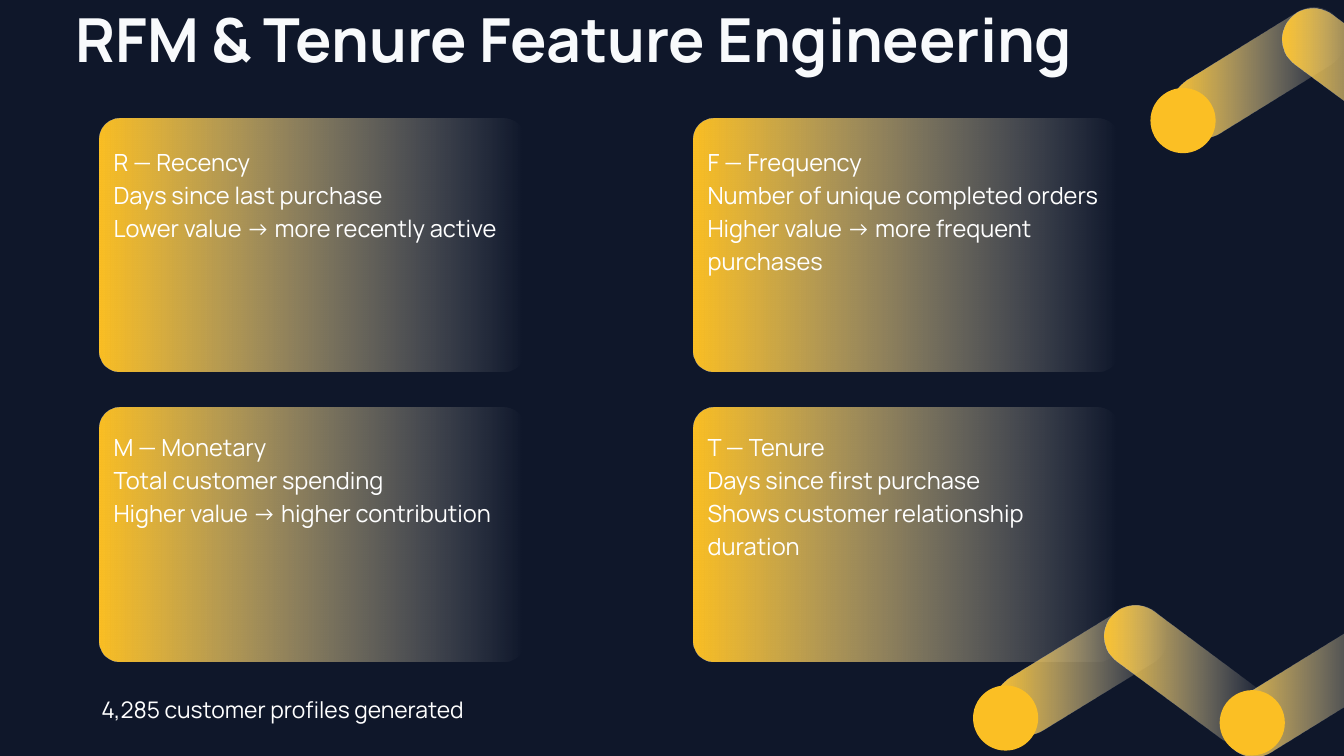
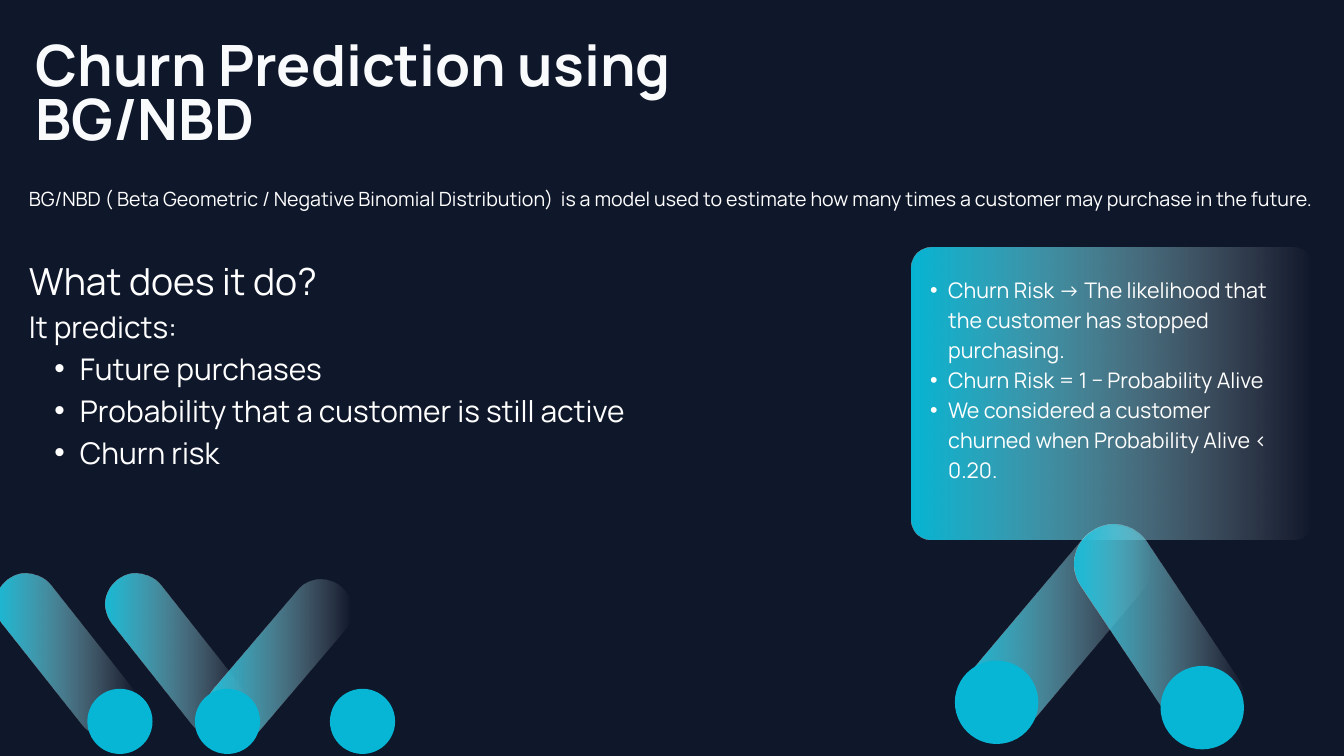
"""Build two slides on customer features and churn prediction."""
from typing import NamedTuple

from lxml import etree
from pptx import Presentation
from pptx.dml.color import RGBColor
from pptx.enum.shapes import MSO_SHAPE
from pptx.enum.text import MSO_ANCHOR, MSO_AUTO_SIZE
from pptx.oxml.ns import qn
from pptx.util import Inches, Pt

NAVY = RGBColor(0x0F, 0x17, 0x2A)
AMBER = RGBColor(0xFB, 0xBF, 0x24)
CYAN = RGBColor(0x06, 0xB6, 0xD4)
SNOW = RGBColor(0xF8, 0xFA, 0xFC)
WHITE = RGBColor(0xFF, 0xFF, 0xFF)

ROUNDED, OVAL = MSO_SHAPE.ROUNDED_RECTANGLE, MSO_SHAPE.OVAL
TOP, GROW = MSO_ANCHOR.TOP, MSO_AUTO_SIZE.SHAPE_TO_FIT_TEXT

FONT = "Manrope"
WIDTH, HEIGHT = Inches(20), Inches(11.25)
COLS, ROWS = 20, 11.25
PILL_W, PILL_H, DOT = 2.84, 0.92, 0.97
LARGE = 1.28

FRAME = {"word_wrap": True, "auto_size": GROW, "vertical_anchor": TOP,
         "margin_left": 0, "margin_right": 0, "margin_top": 0, "margin_bottom": 0}


class Box(NamedTuple):
    x: float
    y: float
    w: float
    h: float


class Style(NamedTuple):
    size: float
    spacing: float
    color: RGBColor = WHITE
    bold: bool = False
    indent: float = 0


class Line(NamedTuple):
    text: str
    style: Style


class Pill(NamedTuple):
    x: float
    y: float
    angle: float
    scale: float = 1


class Dot(NamedTuple):
    x: float
    y: float
    scale: float = 1


FEATURE_TITLE = Style(65, 62.4, SNOW, True)
CHURN_TITLE = Style(61, 58.6, SNOW, True)
FEATURE = Style(25.3, 35.4)
TOTAL = Style(24.5, 34.3)
INTRO = Style(21, 29.4)
QUESTION = Style(40, 56)
LEAD = Style(32, 44.8)
OUTCOME = LEAD._replace(indent=0.38)
RISK = Style(23, 32.2, indent=0.27)

CARD_XS, CARD_YS = (1.48, 10.32), (1.76, 6.07)
CARD_W, CARD_H = 6.32, 3.77
TEXT_DX, TEXT_YS = 0.21, (2.13, 6.37)
FEATURES = (
    (("R — Recency", "Days since last purchase",
      "Lower value → more recently active"),
     ("F — Frequency", "Number of unique completed orders",
      "Higher value → more frequent purchases")),
    (("M — Monetary", "Total customer spending",
      "Higher value → higher contribution"),
     ("T — Tenure", "Days since first purchase",
      "Shows customer relationship duration")),
)
AMBER_PILLS = (Pill(14.67, 9.51, 148.5), Pill(18.06, 9.83, 148.5), Pill(16.25, 9.58, 36.7),
               Pill(17.31, 0.62, 148.5), Pill(18.9, 0.7, 36.7))
AMBER_DOTS = (Dot(14.48, 10.2), Dot(18.15, 10.27), Dot(17.12, 1.31))

CYAN_PILLS = (Pill(-0.43, 9.29, 51.7), Pill(1.21, 9.29, 51.7), Pill(2.73, 9.36, 130.4),
              Pill(13.94, 8.76, 130.2, LARGE), Pill(15.44, 8.83, 56.3, LARGE))
CYAN_DOTS = (Dot(1.3, 10.25), Dot(4.91, 10.25), Dot(2.9, 10.25),
             Dot(17.27, 9.91, LARGE), Dot(14.21, 9.83, LARGE))
OUTCOMES = ("Future purchases", "Probability that a customer is still active", "Churn risk")
RISKS = ("Churn Risk → The likelihood that the customer has stopped purchasing.",
         "Churn Risk = 1 − Probability Alive",
         "We considered a customer churned when Probability Alive < 0.20.")


def place(box: Box) -> tuple:
    return (int(WIDTH * box.x / COLS), int(HEIGHT * box.y / ROWS),
            int(WIDTH * box.w / COLS), int(HEIGHT * box.h / ROWS))


def add_shape(shapes, kind, box: Box):
    sp = shapes.add_shape(kind, *place(box))
    sp.shadow.inherit = False
    sp.line.fill.background()
    return sp


def fade(sp, color: RGBColor) -> None:
    sp.fill.gradient()
    sp.fill.gradient_angle = 0
    for stop, rgb in zip(sp.fill.gradient_stops, (color, SNOW)):
        stop.color.rgb = rgb
    last = sp._element.spPr.findall(".//" + qn("a:gs"))[-1]
    etree.SubElement(last[0], qn("a:alpha"), val="0")


def add_card(slide, box: Box, radius: float, color: RGBColor) -> None:
    sp = add_shape(slide.shapes, ROUNDED, box)
    sp.adjustments[0] = radius / box.h
    fade(sp, color)


def add_pill(slide, pill: Pill, color: RGBColor) -> None:
    group = slide.shapes.add_group_shape()
    sp = add_shape(group.shapes, ROUNDED,
                   Box(pill.x, pill.y, PILL_W * pill.scale, PILL_H * pill.scale))
    sp.adjustments[0] = 0.5
    fade(sp, color)
    group.rotation = pill.angle


def add_dot(slide, dot: Dot, color: RGBColor) -> None:
    side = DOT * dot.scale
    sp = add_shape(slide.shapes, OVAL, Box(dot.x, dot.y, side, side))
    sp.fill.solid()
    sp.fill.fore_color.rgb = color


def add_decor(slide, pills: tuple, dots: tuple, color: RGBColor) -> None:
    for pill in pills:
        add_pill(slide, pill, color)
    for dot in dots:
        add_dot(slide, dot, color)


def add_bullet(p, indent: float) -> None:
    p.level = 1
    pPr = p._p.get_or_add_pPr()
    pPr.set("marL", str(Inches(2 * indent)))
    pPr.set("indent", str(-Inches(indent)))
    etree.SubElement(pPr, qn("a:buFont"), typeface="Arial")
    etree.SubElement(pPr, qn("a:buChar"), char="•")


def add_text(slide, box: Box, lines: list) -> None:
    tf = slide.shapes.add_textbox(*place(box)).text_frame
    for name, value in FRAME.items():
        setattr(tf, name, value)
    for i, (text, style) in enumerate(lines):
        p = tf.add_paragraph() if i else tf.paragraphs[0]
        if style.indent:
            add_bullet(p, style.indent)
        p.line_spacing = Pt(style.spacing)
        r = p.add_run()
        r.text = text
        font = {"name": FONT, "size": Pt(style.size), "bold": style.bold}
        for name, value in font.items():
            setattr(r.font, name, value)
        r.font.color.rgb = style.color


def styled(texts: tuple, style: Style) -> list:
    return [Line(text, style) for text in texts]


def add_slide(prs):
    slide = prs.slides.add_slide(prs.slide_layouts[6])
    slide.background.fill.solid()
    slide.background.fill.fore_color.rgb = NAVY
    return slide


def build_features(prs) -> None:
    slide = add_slide(prs)
    for y in CARD_YS:
        for x in CARD_XS:
            add_card(slide, Box(x, y, CARD_W, CARD_H), 0.31, AMBER)
    add_text(slide, Box(1.12, 0.25, 16.69, 0.99),
             [Line("RFM & Tenure Feature Engineering", FEATURE_TITLE)])
    for y, features in zip(TEXT_YS, FEATURES):
        for x, texts in zip(CARD_XS, features):
            add_text(slide, Box(x + TEXT_DX, y, 6.1, 2.46), styled(texts, FEATURE))
    add_text(slide, Box(1.51, 10.28, 8.49, 0.48),
             [Line("4,285 customer profiles generated", TOTAL)])
    add_decor(slide, AMBER_PILLS, AMBER_DOTS, AMBER)


def build_churn(prs) -> None:
    slide = add_slide(prs)
    add_card(slide, Box(13.57, 3.69, 5.97, 4.34), 0.3, CYAN)
    add_text(slide, Box(0.53, 0.64, 9.81, 1.73),
             [Line("Churn Prediction using BG/NBD", CHURN_TITLE)])
    add_text(slide, Box(0.43, 2.73, 19.84, 0.82),
             [Line("BG/NBD ( Beta Geometric / Negative Binomial Distribution)  is a model used "
                   "to estimate how many times a customer may purchase in the future.", INTRO)])
    add_text(slide, Box(0.43, 3.73, 9.59, 3.25),
             [Line("What does it do?", QUESTION), Line("It predicts:", LEAD),
              *styled(OUTCOMES, OUTCOME)])
    add_text(slide, Box(13.57, 4.06, 5.6, 3.5), styled(RISKS, RISK))
    add_decor(slide, CYAN_PILLS, CYAN_DOTS, CYAN)


def main() -> None:
    prs = Presentation()
    prs.slide_width, prs.slide_height = WIDTH, HEIGHT
    build_features(prs)
    build_churn(prs)
    prs.save("out.pptx")


if __name__ == "__main__":
    main()
